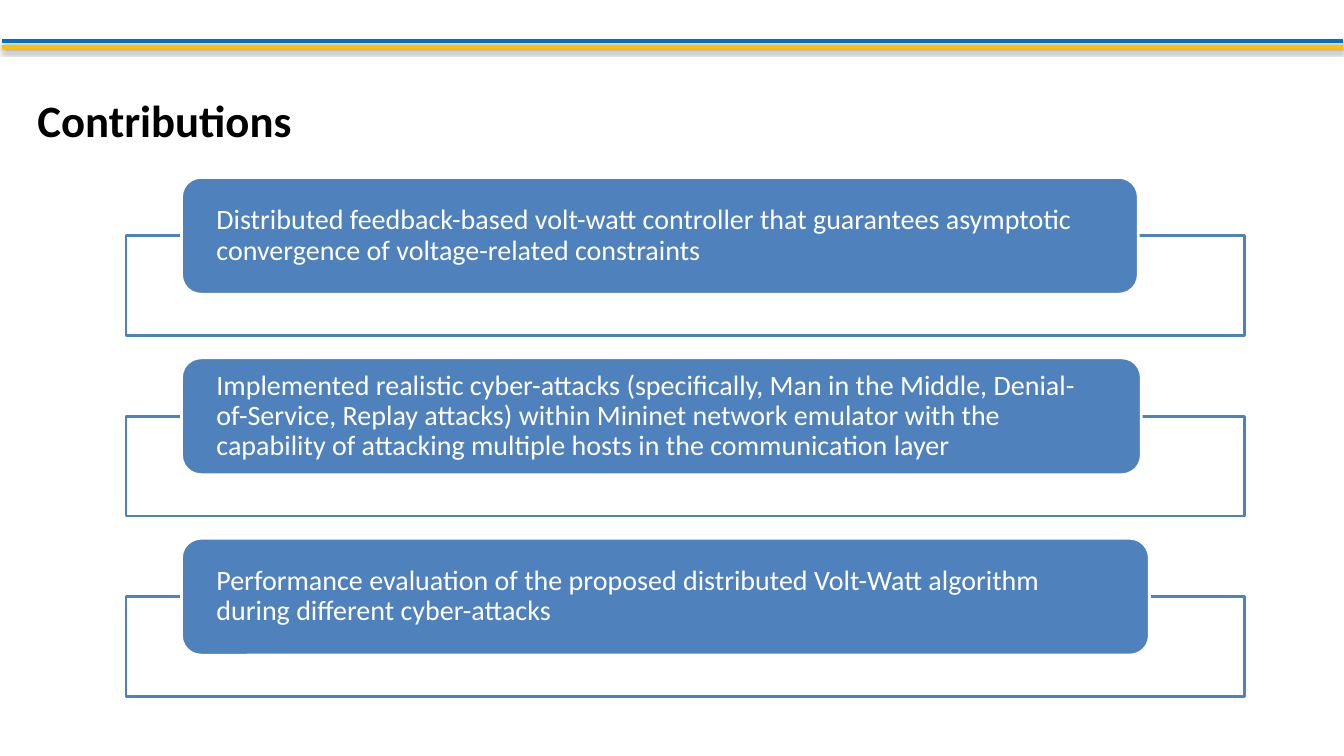
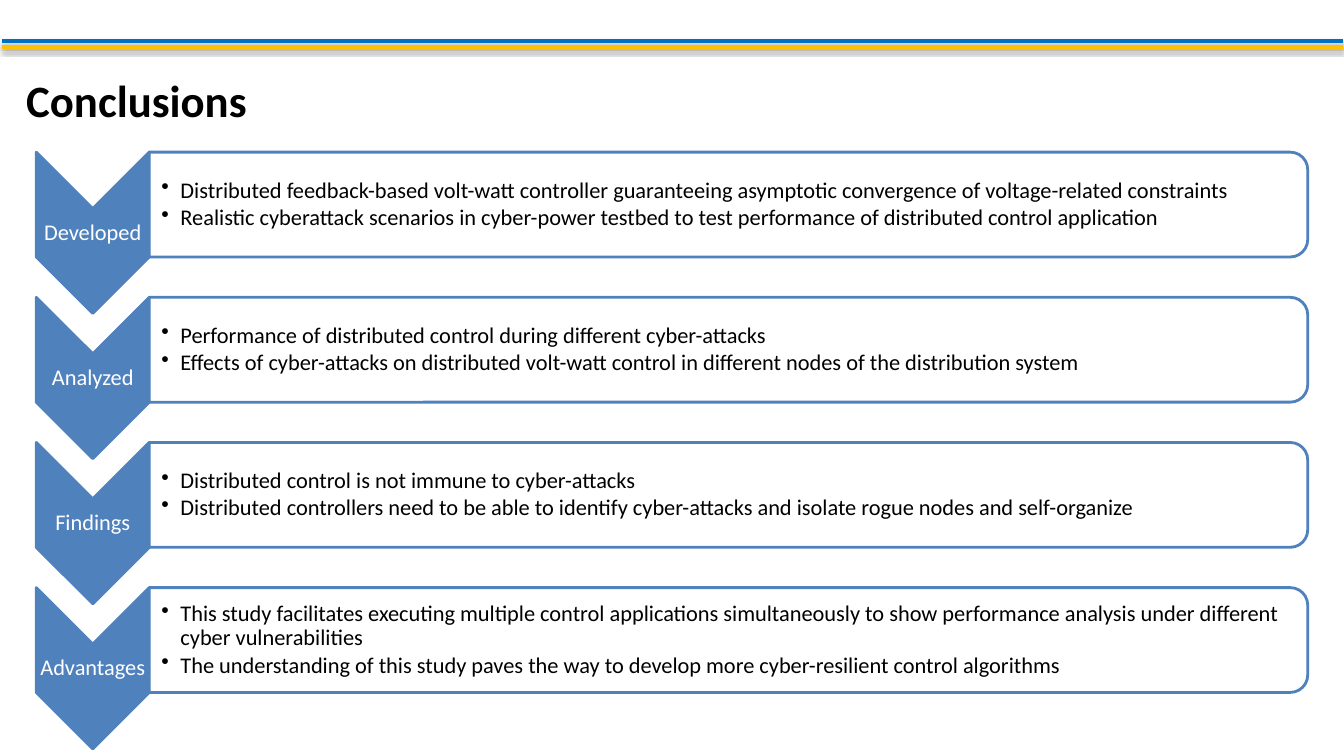
from dataclasses import dataclass

from lxml.etree import SubElement
from pptx import Presentation
from pptx.dml.color import RGBColor
from pptx.enum.shapes import MSO_CONNECTOR, MSO_SHAPE as Preset
from pptx.enum.text import MSO_ANCHOR, MSO_AUTO_SIZE, PP_ALIGN
from pptx.oxml.ns import qn
from pptx.util import Inches, Pt

CONTRIBUTIONS = [  # (card width, text)
    (9.49, "Distributed feedback-based volt-watt controller that guarantees asymptotic "
           "convergence of voltage-related constraints"),
    (9.52, "Implemented realistic cyber-attacks (specifically, Man in the Middle, "
           "Denial-of-Service, Replay attacks) within Mininet network emulator with the "
           "capability of attacking multiple hosts in the communication layer"),
    (9.6, "Performance evaluation of the proposed distributed Volt-Watt algorithm "
          "during different cyber-attacks"),
]
CONCLUSIONS = {
    "Developed": [
        "Distributed feedback-based volt-watt controller guaranteeing asymptotic "
        "convergence of voltage-related constraints",
        "Realistic cyberattack scenarios in cyber-power testbed to test performance of "
        "distributed control application",
    ],
    "Analyzed": [
        "Performance of distributed control during different cyber-attacks",
        "Effects of cyber-attacks on distributed volt-watt control in different nodes of "
        "the distribution system",
    ],
    "Findings": [
        "Distributed control is not immune to cyber-attacks",
        "Distributed controllers need to be able to identify cyber-attacks and isolate "
        "rogue nodes and self-organize",
    ],
    "Advantages": [
        "This study facilitates executing multiple control applications simultaneously "
        "to show performance analysis under different cyber vulnerabilities",
        "The understanding of this study paves the way to develop more cyber-resilient "
        "control algorithms",
    ],
}


@dataclass(frozen=True)
class Theme:
    font: str = "Calibri"
    ink: str = "000000"
    paper: str = "FFFFFF"
    accent: str = "4F81BD"
    bands: tuple = (("0070C0", 0.41), ("FFC000", 0.47))
    band_width: int = 3
    outline: int = 2
    title_size: int = 32
    card_size: int = 20
    list_size: int = 16


THEME = Theme()
WIDTH, HEIGHT = 13.33, 7.5


def rgb(code):
    return RGBColor.from_string(code)


def style_text(frame, size, color, margins, align=PP_ALIGN.LEFT, bold=False,
               anchor=MSO_ANCHOR.MIDDLE, spacing=0.9):
    frame.word_wrap = True
    frame.auto_size = MSO_AUTO_SIZE.NONE
    frame.vertical_anchor = anchor
    (frame.margin_left, frame.margin_top,
     frame.margin_right, frame.margin_bottom) = map(Inches, margins)
    for paragraph in frame.paragraphs:
        paragraph.alignment = align
        paragraph.line_spacing = spacing
        for run in paragraph.runs:
            run.font.name, run.font.size, run.font.bold = THEME.font, Pt(size), bold
            run.font.color.rgb = rgb(color)


def add_bullets(frame, indent, gap):
    for paragraph in frame.paragraphs:
        paragraph.space_after = Pt(gap)
        properties = paragraph._p.get_or_add_pPr()
        properties.set("marL", str(Inches(indent)))
        properties.set("indent", str(-Inches(indent)))
        SubElement(properties, qn("a:buChar"), char="•")


def add_box(slide, preset, box, fill, line, opacity=100, turned=False):
    """Draw a preset filling box; a turned one is rotated 90 degrees into it."""
    left, top, width, height = box
    if turned:
        left, top = left + (width - height) / 2, top + (height - width) / 2
        width, height = height, width
    shape = slide.shapes.add_shape(preset, *map(Inches, (left, top, width, height)))
    shape.rotation = 90 if turned else 0
    shape.shadow.inherit = False
    shape.fill.solid()
    shape.fill.fore_color.rgb = rgb(fill)
    if opacity < 100:
        color = shape._element.spPr.find(qn("a:solidFill"))[0]
        SubElement(color, qn("a:alpha"), val=str(opacity * 1000))
    shape.line.color.rgb = rgb(line)
    shape.line.width = Pt(THEME.outline)
    return shape


def add_text(slide, box, text):
    frame = slide.shapes.add_textbox(*map(Inches, box)).text_frame
    frame.text = text
    return frame


def add_band(slide, color, y):
    band = slide.shapes.add_connector(
        MSO_CONNECTOR.STRAIGHT, *map(Inches, (0.02, y, WIDTH - 0.01, y)))
    band.line.color.rgb = rgb(color)
    band.line.width = Pt(THEME.band_width)
    effects = SubElement(band._element.spPr, qn("a:effectLst"))
    shadow = SubElement(effects, qn("a:outerShdw"), blurRad=str(Pt(3.1)),
                        dist=str(Pt(1.8)), dir="5400000", rotWithShape="0")
    black = SubElement(shadow, qn("a:srgbClr"), val=THEME.ink)
    SubElement(black, qn("a:alpha"), val="35000")


def new_slide(deck, heading, left, top):
    slide = deck.slides.add_slide(deck.slide_layouts[5])
    for color, y in THEME.bands:
        add_band(slide, color, y)
    title = slide.shapes.title
    title.left, title.top, title.width, title.height = map(
        Inches, (left, top, 12.81, 0.99))
    title.text_frame.text = heading
    style_text(title.text_frame, THEME.title_size, THEME.ink, (0.1, 0.05, 0.1, 0.05),
               bold=True, anchor=MSO_ANCHOR.TOP, spacing=1.0)
    return slide


def build_contributions(deck):
    slide = new_slide(deck, "Contributions", 0.27, 0.87)
    first, pitch, card_height = 1.76, 1.79, 1.16
    for row, (card_width, text) in enumerate(CONTRIBUTIONS):
        top = first + row * pitch
        add_box(slide, Preset.RECTANGLE, (1.25, top + card_height / 2, 11.09, 0.99),
                THEME.paper, THEME.accent, opacity=90)
        card = add_box(slide, Preset.ROUNDED_RECTANGLE,
                       (1.8, top, card_width, card_height), THEME.accent, THEME.paper)
        card.text_frame.text = text
        style_text(card.text_frame, THEME.card_size, THEME.paper, (0.29, 0, 0.29, 0))


def build_conclusions(deck):
    slide = new_slide(deck, "Conclusions", 0.16, 0.67)
    first, pitch, left = 1.51, 1.44, 0.36
    arrow_width, arrow_height, panel_width, panel_height = 1.12, 1.6, 11.49, 1.04
    for row, (label, points) in enumerate(CONCLUSIONS.items()):
        top = first + row * pitch
        arrow = (left, top, arrow_width, arrow_height)
        panel = (left + arrow_width, top, panel_width, panel_height)
        add_box(slide, Preset.CHEVRON, arrow, THEME.accent, THEME.accent, turned=True)
        style_text(add_text(slide, arrow, label), THEME.list_size, THEME.paper,
                   (0.01,) * 4, align=PP_ALIGN.CENTER)
        add_box(slide, Preset.ROUND_2_SAME_RECTANGLE, panel, THEME.paper, THEME.accent,
                opacity=90, turned=True)
        body = add_text(slide, panel, "\n".join(points))
        add_bullets(body, indent=0.19, gap=2.4)
        style_text(body, THEME.list_size, THEME.ink, (0.12, 0.01, 0.06, 0.01))


def main():
    deck = Presentation()
    deck.slide_width, deck.slide_height = Inches(WIDTH), Inches(HEIGHT)
    build_contributions(deck)
    build_conclusions(deck)
    deck.save("out.pptx")


if __name__ == "__main__":
    main()
